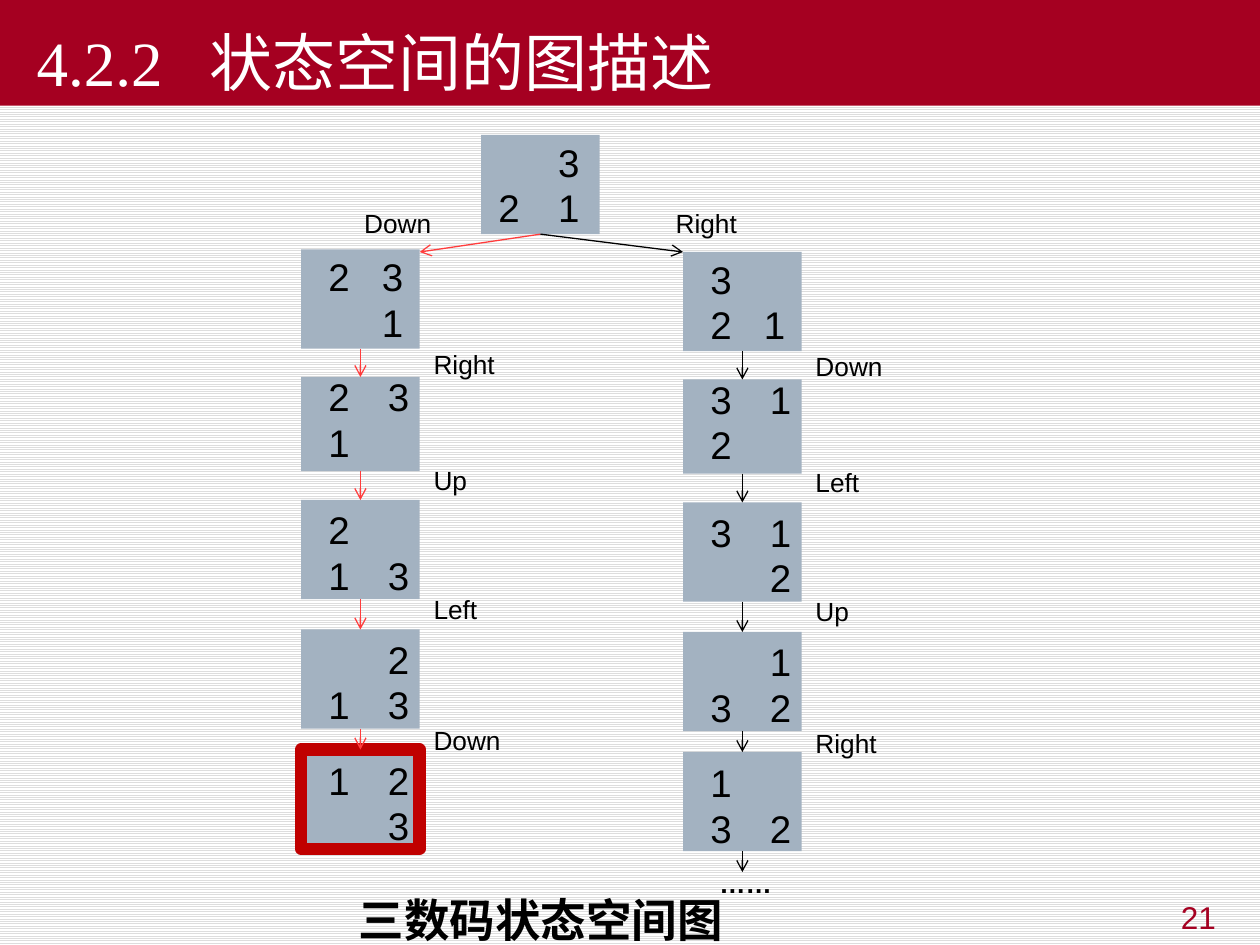
from lxml.etree import SubElement
from pptx import Presentation
from pptx.dml.color import RGBColor
from pptx.enum.dml import MSO_PATTERN
from pptx.enum.shapes import MSO_CONNECTOR, MSO_SHAPE
from pptx.enum.text import MSO_ANCHOR, PP_ALIGN
from pptx.oxml.ns import qn
from pptx.util import Cm, Pt

COLORS = {"crimson": "A50021", "white": "FFFFFF", "stripe": "DDDDDD",
          "tile": "A3B2C1", "goal": "C00000", "path": "FF3C3C", "black": "000000"}

FORMATS = {
    "title": {"name": "Times New Roman", "size": Pt(36), "color": "white"},
    "caption": {"name": "Arial", "size": Pt(26), "bold": True, "color": "black"},
    "digit": {"name": "Arial", "size": Pt(22), "color": "black"},
    "label": {"name": "Arial", "size": Pt(15), "color": "black"},
    "dots": {"name": "Arial", "size": Pt(15), "bold": True, "color": "black"},
    "number": {"name": "Arial", "size": Pt(18), "color": "crimson"},
}

STATE_WIDTH, STATE_HEIGHT = 2.39, 2
DIGIT_WIDTH, DIGIT_HEIGHT, ROW_STEP = 0.71, 1.19, 0.92
LABEL_WIDTH, LABEL_HEIGHT = 2.2, 0.89

# Rows of a column in cm: top, height, x of both digits, y of first digit, label y
STEPS = [
    (0, STATE_HEIGHT, (0.3, 1.38), -0.05, None),
    (2.57, 1.9, (0.3, 1.5), -0.2, -0.71),
    (5.05, STATE_HEIGHT, (0.3, 1.5), 0, -0.85),
    (7.66, STATE_HEIGHT, (0.3, 1.5), 0, -0.86),
    (10.08, STATE_HEIGHT, (0.3, 1.5), 0.02, -0.63),
]

# Each state lists its two rows, with a space for the empty cell
LEFT_STATES = ["23/ 1", "23/1 ", "2 /13", " 2/13", "12/ 3"]
LEFT_MOVES = [None, "Right", "Up", "Left", "Down"]
RIGHT_STATES = ["3 /21", "31/2 ", "31/ 2", " 1/32", "1 /32"]
RIGHT_MOVES = [None, "Down", "Left", "Up", "Right"]


def rgb(color):
    return RGBColor.from_string(COLORS[color])


def write(shape, text, style, align=PP_ALIGN.LEFT):
    paragraph = shape.text_frame.paragraphs[0]
    paragraph.alignment = align
    run = paragraph.add_run()
    run.text = text
    for key, value in FORMATS[style].items():
        if key == "color":
            run.font.color.rgb = rgb(value)
        else:
            setattr(run.font, key, value)
    return paragraph


def add_text(slide, box, text, style, align=PP_ALIGN.LEFT):
    shape = slide.shapes.add_textbox(*map(Cm, box))
    shape.text_frame.word_wrap = True
    write(shape, text, style, align)


def add_label(slide, left, top, text, style="label"):
    add_text(slide, (left, top, LABEL_WIDTH, LABEL_HEIGHT), text, style)


def add_rectangle(slide, box, color):
    shape = slide.shapes.add_shape(MSO_SHAPE.RECTANGLE, *map(Cm, box))
    shape.shadow.inherit = False
    shape.fill.solid()
    shape.fill.fore_color.rgb = rgb(color)
    shape.line.fill.background()
    return shape


def add_arrow(slide, start, end, color):
    arrow = slide.shapes.add_connector(MSO_CONNECTOR.STRAIGHT, *map(Cm, start + end))
    arrow.line.color.rgb = rgb(color)
    arrow.line.width = Pt(0.75)
    SubElement(arrow.line._get_or_add_ln(), qn("a:tailEnd"), type="arrow")
    SubElement(arrow._element.spPr, qn("a:effectLst"))


def add_title_bar(slide, box):
    bar = add_rectangle(slide, box, "crimson")
    frame = bar.text_frame
    frame.vertical_anchor = MSO_ANCHOR.BOTTOM
    frame.margin_left = Cm(0.74)
    paragraph = write(bar, "4.2.2\t状态空间的图描述", "title")
    # The tab stop parts the section number from its name
    tabs = SubElement(paragraph._p.get_or_add_pPr(), qn("a:tabLst"))
    SubElement(tabs, qn("a:tab"), pos=str(Cm(3.49)), algn="l")


def add_state(slide, box, cells, digit_lefts, digit_top):
    left, top = box[:2]
    tile = add_rectangle(slide, box, "tile")
    for row, digits in enumerate(cells.split("/")):
        for digit, digit_left in zip(digits, digit_lefts):
            if digit != " ":
                place = (left + digit_left, top + digit_top + row * ROW_STEP,
                         DIGIT_WIDTH, DIGIT_HEIGHT)
                add_text(slide, place, digit, "digit")
    return tile


def add_column(slide, left, top, states, moves, color):
    """Draw a chain of states; return the last tile and the foot of the chain."""
    center = left + STATE_WIDTH / 2
    foot = None
    for step, cells, move in zip(STEPS, states, moves):
        offset, height, digit_lefts, digit_top, label_top = step
        state_top = top + offset
        tile = add_state(slide, (left, state_top, STATE_WIDTH, height),
                         cells, digit_lefts, digit_top)
        if move:
            add_arrow(slide, foot, (center, state_top), color)
            add_label(slide, left + 2.42, state_top + label_top, move)
        foot = (center, state_top + height)
    return tile, foot


def add_state_graph(slide, left, top):
    # Start state
    root_left = left + 3.63
    add_state(slide, (root_left, top, STATE_WIDTH, STATE_HEIGHT),
              " 3/21", (0.1, 1.3), -0.05)
    root_foot = (root_left + STATE_WIDTH / 2, top + STATE_HEIGHT)

    # Path to the goal, with the goal state outlined
    left_top = top + 2.31
    goal, _ = add_column(slide, left, left_top, LEFT_STATES, LEFT_MOVES, "path")
    goal.line.color.rgb = rgb("goal")
    goal.line.width = Pt(7)
    SubElement(goal.line._get_or_add_ln(), qn("a:round"))

    # Other branch, which goes on
    right_left, right_top = left + 7.7, top + 2.36
    _, foot = add_column(slide, right_left, right_top,
                         RIGHT_STATES, RIGHT_MOVES, "black")
    add_arrow(slide, foot, (foot[0], foot[1] + 0.42), "black")
    add_label(slide, foot[0] - 0.71, foot[1] + 0.2, "……", "dots")

    # First moves
    add_arrow(slide, root_foot, (left + STATE_WIDTH, right_top), "path")
    add_arrow(slide, root_foot, (right_left, right_top), "black")
    for move, offset in (("Down", 1.02), ("Right", 7.3)):
        add_label(slide, left + offset, top + 1.33, move)


def main():
    presentation = Presentation()
    presentation.slide_width, presentation.slide_height = Cm(25.4), Cm(19.05)
    slide = presentation.slides.add_slide(presentation.slide_layouts[6])

    # Striped background
    fill = slide.background.fill
    fill.patterned()
    fill.pattern = MSO_PATTERN.LIGHT_HORIZONTAL
    fill.fore_color.rgb = rgb("stripe")
    fill.back_color.rgb = rgb("white")

    add_title_bar(slide, (0, 0, 25.4, 2.13))
    add_state_graph(slide, 6.07, 2.72)
    add_text(slide, (6.98, 17.86, 13.54, 1.45), "三数码状态空间图", "caption")
    add_text(slide, (19.25, 17.98, 5.51, 0.99), "21", "number", PP_ALIGN.RIGHT)
    presentation.save("out.pptx")


if __name__ == "__main__":
    main()
